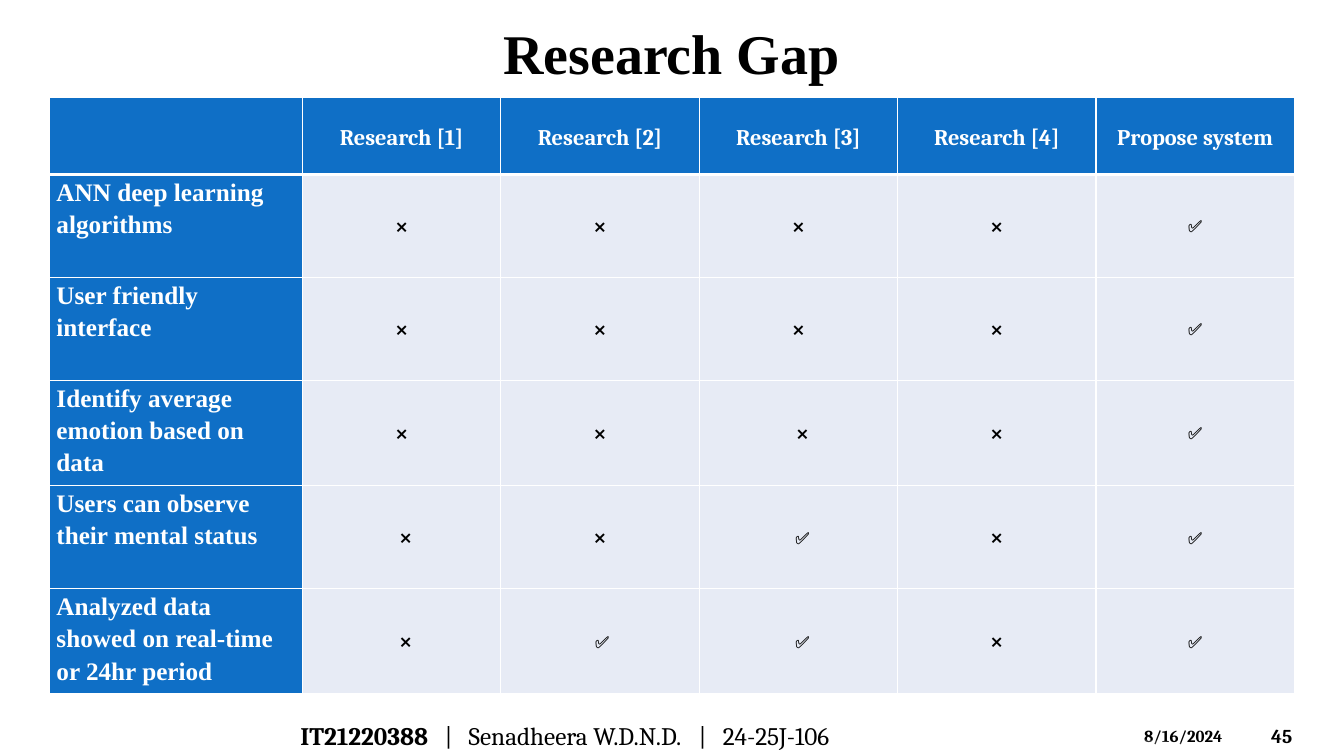
from lxml.etree import SubElement
from pptx import Presentation
from pptx.dml.color import RGBColor
from pptx.enum.shapes import MSO_SHAPE as SHAPE
from pptx.enum.text import MSO_ANCHOR as ANCHOR, PP_ALIGN as ALIGN
from pptx.oxml import parse_xml
from pptx.oxml.ns import nsdecls, qn
from pptx.util import Inches, Pt

COLORS = {"blue": "0F6FC6", "pale": "E7EBF5", "white": "FFFFFF", "black": "000000"}
SERIF, TIMES, MARK = "Cambria", "Times New Roman", "Karla"
NO, YES = "❌", "✅"

HEADERS = ["", "Research [1]", "Research [2]", "Research [3]", "Research [4]", "Propose system"]
FEATURES = [
    ("ANN deep learning algorithms", [NO, NO, NO, NO, YES]),
    ("User friendly interface", [NO, NO, NO, NO, YES]),
    ("Identify average emotion based on data", [NO, NO, NO, NO, YES]),
    ("Users can observe their mental status", [NO, NO, YES, NO, YES]),
    ("Analyzed data showed on real-time or 24hr period", [NO, YES, YES, NO, YES]),
]
NUDGES = {(3, 3): 0.08, (4, 1): 0.08, (4, 3): 0.08, (5, 1): 0.08, (5, 2): 0.04, (5, 3): 0.08}


def rgb(name):
    """Return a palette colour."""
    return RGBColor.from_string(COLORS[name])


def style(run, size, font, color="black", bold=True):
    """Format one run."""
    f = run.font
    f.size, f.name, f.bold = Pt(size), font, bold
    f.color.rgb = rgb(color)


def add_title(s, x, y, w, h):
    """Fill the title placeholder."""
    sp = s.shapes.title
    sp.left, sp.top, sp.width, sp.height = (Inches(v) for v in (x, y, w, h))
    tf = sp.text_frame
    tf.text = "Research Gap"
    tf.vertical_anchor = ANCHOR.MIDDLE
    p = tf.paragraphs[0]
    p.alignment = ALIGN.CENTER
    style(p.runs[0], 40, TIMES)


def set_borders(cell, bottom):
    """Draw white borders, with the bottom one in the given points."""
    tcPr = cell._tc.get_or_add_tcPr()
    for i, (side, width) in enumerate([("L", 1), ("R", 1), ("T", 1), ("B", bottom)]):
        tcPr.insert(i, parse_xml(
            f'<a:ln{side} {nsdecls("a")} w="{Pt(width)}"><a:solidFill>'
            f'<a:srgbClr val="{COLORS["white"]}"/></a:solidFill></a:ln{side}>'))


def fill_cell(cell, text, size, font, color, fill, bold=True, center=True, nudge=0, bottom=1):
    """Write and format one table cell."""
    cell.fill.solid()
    cell.fill.fore_color.rgb = rgb(fill)
    set_borders(cell, bottom)
    cell.margin_left, cell.margin_right = Inches(0.07 + nudge), Inches(0.07)
    cell.margin_top = cell.margin_bottom = 0
    cell.vertical_anchor = ANCHOR.MIDDLE if center else ANCHOR.TOP
    cell.text_frame.text = text
    p = cell.text_frame.paragraphs[0]
    p.alignment = ALIGN.CENTER if center else ALIGN.LEFT
    p.line_spacing, p.space_after = 1.16, Pt(8 if center else 6)
    for r in p.runs:
        style(r, size, font, color, bold)


def add_comparison(s, x, y, w, h):
    """Build the table of features against earlier research."""
    label_w, header_h = 2.51, 0.76
    n_rows, n_cols = len(FEATURES) + 1, len(HEADERS)
    tbl = s.shapes.add_table(n_rows, n_cols, Inches(x), Inches(y), Inches(w), Inches(h)).table
    for c, col in enumerate(tbl.columns):
        col.width = Inches((w - label_w) / (n_cols - 1) if c else label_w)
    for r, row in enumerate(tbl.rows):
        row.height = Inches((h - header_h) / (n_rows - 1) if r else header_h)
    for c, header in enumerate(HEADERS):
        fill_cell(tbl.cell(0, c), header, 16, SERIF, "white", "blue", bottom=3)
    for r, (feature, marks) in enumerate(FEATURES, 1):
        fill_cell(tbl.cell(r, 0), feature, 18, TIMES, "white", "blue", center=False)
        for c, mark in enumerate(marks, 1):
            fill_cell(tbl.cell(r, c), mark, 12, MARK if mark == NO else SERIF, "black", "pale",
                      bold=mark == NO, nudge=NUDGES.get((r, c), 0))


def add_label(s, x, y, w, h, text, size, anchor=ANCHOR.MIDDLE):
    """Add a bold footer text box and return its paragraph."""
    tf = s.shapes.add_textbox(Inches(x), Inches(y), Inches(w), Inches(h)).text_frame
    tf.word_wrap = True
    tf.vertical_anchor = anchor
    tf.text = text
    p = tf.paragraphs[0]
    style(p.runs[0], size, SERIF)
    return p


def add_peak(s, x, y, w, h, apex):
    """Add a translucent white triangle with its apex at a fraction of the width."""
    sp = s.shapes.add_shape(SHAPE.ISOSCELES_TRIANGLE, Inches(x), Inches(y), Inches(w), Inches(h))
    sp.adjustments[0] = apex
    sp.shadow.inherit = False
    sp.line.fill.background()
    sp.fill.solid()
    sp.fill.fore_color.rgb = rgb("white")
    color = sp.fill._xPr.find(qn("a:solidFill"))[0]
    SubElement(color, qn("a:alpha"), val="20000")


def add_footer(s, x, y, w, h):
    """Place the slide number, date, triangles and author line along the bottom."""
    add_label(s, x + w - 0.82, y, 0.74, h, "45", 14)
    add_label(s, x + 11.25, y + 0.05, 1.17, 0.3, "8/16/2024", 12, ANCHOR.TOP)
    for height, apex in [(0.41, 0.63), (0.2, 0.39)]:
        add_peak(s, x, y + h - height, w, height, apex)
    p = add_label(s, x + 2.88, y, 7.45, h, "IT21220388", 18)
    tabs = SubElement(p._p.get_or_add_pPr(), qn("a:tabLst"))
    for pos, align in [(1.47, "ctr"), (1.67, "l"), (3.99, "ctr"), (4.19, "l")]:
        SubElement(tabs, qn("a:tab"), pos=str(Inches(pos)), algn=align)
    r = p.add_run()
    r.text = "\t|\tSenadheera W.D.N.D.\t|\t24-25J-106"
    style(r, 18, SERIF, bold=False)


def main():
    """Build and save the slide."""
    prs = Presentation()
    prs.slide_width, prs.slide_height = Inches(13.33), Inches(7.5)
    s = prs.slides.add_slide(prs.slide_layouts[5])
    add_footer(s, 0, 7.1, 13.33, 0.4)
    add_title(s, 0.27, 0.04, 12.78, 0.95)
    add_comparison(s, 0.49, 0.97, 12.35, 5.87)
    prs.save("out.pptx")


if __name__ == "__main__":
    main()
